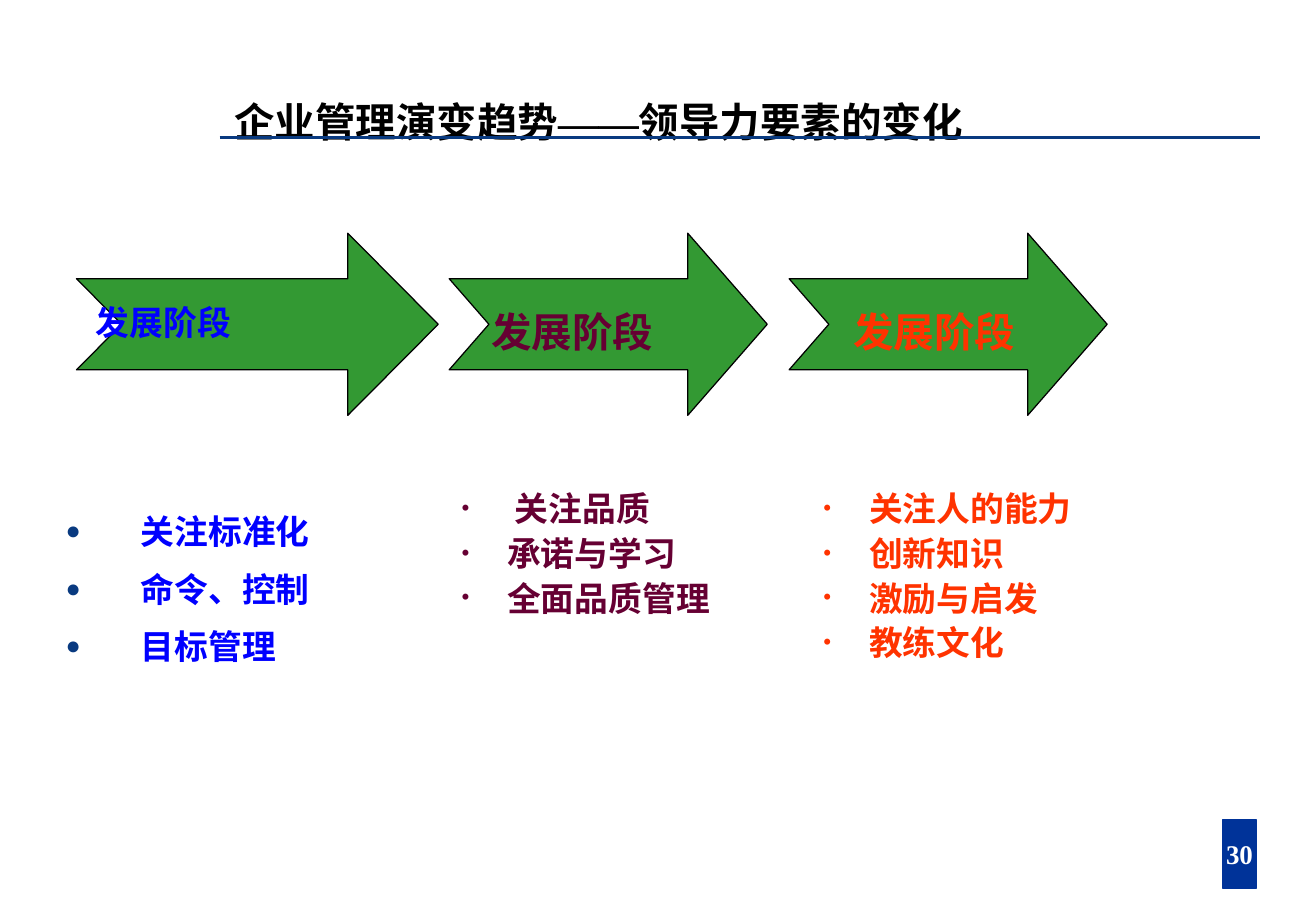
from lxml import etree
from pptx import Presentation
from pptx.dml.color import RGBColor
from pptx.enum.shapes import MSO_CONNECTOR, MSO_SHAPE
from pptx.enum.text import MSO_ANCHOR, MSO_AUTO_SIZE, PP_ALIGN
from pptx.oxml.ns import qn
from pptx.util import Inches, Pt

STRAIGHT = MSO_CONNECTOR.STRAIGHT
ARROW, RECTANGLE = MSO_SHAPE.NOTCHED_RIGHT_ARROW, MSO_SHAPE.RECTANGLE
BOTTOM, MIDDLE, TOP = MSO_ANCHOR.BOTTOM, MSO_ANCHOR.MIDDLE, MSO_ANCHOR.TOP
LEFT, CENTER = PP_ALIGN.LEFT, PP_ALIGN.CENTER
NO_FIT = MSO_AUTO_SIZE.NONE


class Theme:
    cjk, latin = "Noto Sans CJK SC", "Times New Roman"
    black, white = "000000", "FFFFFF"
    rule, badge, arrow = "093A80", "003399", "339933"
    blue, plum, orange = "0000FF", "660033", "FF3300"
    title_size, body_size, number_size = 24, 20, 16


# Content
TITLE = [("企业管理演变趋势", Theme.cjk), ("——", Theme.latin), ("领导力要素的变化", Theme.cjk)]
PAGE_NUMBER = "30"
LABEL = "发展阶段"
WIDE_LIST = {"margins": (0, 0), "hang": 0.62, "bullet": "●", "bullet_color": Theme.rule,
             "label_size": 20, "label_line": 23, "drop": 101, "gap": 11}
SLIM_LIST = {"margins": (0.1, 0.05), "hang": 0.38, "bullet": "•", "bullet_color": None,
             "label_size": 24, "label_line": 27.5, "drop": 79, "gap": 3.6}
STAGES = [
    {"arrow": (0.63, 2.98), "box": (0.54, 2.62), "color": Theme.blue, "style": WIDE_LIST,
     "points": ["关注标准化", "命令、控制", "目标管理"]},
    {"arrow": (3.7, 2.62), "box": (3.7, 2.71), "color": Theme.plum, "style": SLIM_LIST,
     "points": [" 关注品质", "承诺与学习", "全面品质管理"]},
    {"arrow": (6.5, 2.62), "box": (6.68, 2.98), "color": Theme.orange, "style": SLIM_LIST,
     "points": ["关注人的能力", "创新知识", "激励与启发", "教练文化"]},
]

# Grid, in inches
SLIDE_WIDTH, SLIDE_HEIGHT = 10.84, 7.5
ARROW_TOP, ARROW_HEIGHT = 1.92, 1.5
TEXT_TOP, TEXT_HEIGHT = SLIDE_HEIGHT / 3, SLIDE_HEIGHT / 2
LABEL_INDENT = 0.25
LINE_POINTS = 23


def apply(target, **values):
    for name, value in values.items():
        setattr(target, name, value)


def place(left, top, width, height):
    return [Inches(length) for length in (left, top, width, height)]


def set_frame(frame, anchor, wrap, margins=(0, 0)):
    side, edge = (Inches(margin) for margin in margins)
    apply(frame, margin_left=side, margin_right=side, margin_top=edge, margin_bottom=edge,
          word_wrap=wrap, auto_size=NO_FIT, vertical_anchor=anchor)


def add_span(para, text, size, color, face):
    span = para.add_run()
    span.text = text
    apply(span.font, size=Pt(size), bold=True, name=face)
    span.font.color.rgb = RGBColor.from_string(color)
    etree.SubElement(span.font._element, qn("a:ea")).set("typeface", face)


def add_block(page, kind, spot, fill, line, weight):
    block = page.shapes.add_shape(kind, *place(*spot))
    block.shadow.inherit = False
    block.fill.solid()
    block.fill.fore_color.rgb = RGBColor.from_string(fill)
    block.line.color.rgb = RGBColor.from_string(line)
    block.line.width = Pt(weight)
    return block


def set_indent(para, left, hang=0):
    props = para._p.get_or_add_pPr()
    props.set("marL", str(Inches(left)))
    props.set("indent", str(-Inches(hang)))
    return props


def add_bullet(para, sign, color, hang):
    props = set_indent(para, hang, hang)
    tint = etree.SubElement(props, qn("a:buClr"))
    etree.SubElement(tint, qn("a:srgbClr")).set("val", color)
    for tag, key, value in (("buSzPct", "val", "75000"),
                            ("buFont", "typeface", Theme.latin),
                            ("buChar", "char", sign)):
        etree.SubElement(props, qn("a:" + tag)).set(key, value)


def add_rule(page):
    rule = page.shapes.add_connector(STRAIGHT, Inches(1.81), Inches(1.13),
                                     Inches(10.38), Inches(1.13))
    rule.line.color.rgb = RGBColor.from_string(Theme.rule)
    rule.line.width = Pt(2)
    etree.SubElement(rule._element.spPr, qn("a:effectLst"))


def add_title(page):
    title = page.shapes.title
    left, top, width, height = place(1.93, 0.37, 8.65, 0.83)
    apply(title, left=left, top=top, width=width, height=height)
    set_frame(title.text_frame, BOTTOM, True)
    para = title.text_frame.paragraphs[0]
    apply(para, alignment=LEFT, line_spacing=0.8)
    for text, face in TITLE:
        add_span(para, text, Theme.title_size, Theme.black, face)


def add_page_number(page):
    badge = add_block(page, RECTANGLE, (10.07, 6.75, 0.28, 0.56), Theme.badge, Theme.badge, 1)
    set_frame(badge.text_frame, MIDDLE, False)
    para = badge.text_frame.paragraphs[0]
    para.alignment = CENTER
    add_span(para, PAGE_NUMBER, Theme.number_size, Theme.white, Theme.latin)


def add_arrow(page, left, width):
    arrow = add_block(page, ARROW, (left, ARROW_TOP, width, ARROW_HEIGHT),
                      Theme.arrow, Theme.black, 0.75)
    arrow.adjustments[0] = 0.5
    arrow.adjustments[1] = width / 4 / ARROW_HEIGHT  # head takes a quarter of the length


def add_stage_text(page, stage):
    style, color = stage["style"], stage["color"]
    left, width = stage["box"]
    frame = page.shapes.add_textbox(*place(left, TEXT_TOP, width, TEXT_HEIGHT)).text_frame
    set_frame(frame, TOP, True, style["margins"])
    label = frame.paragraphs[0]
    set_indent(label, LABEL_INDENT)
    label.line_spacing = Pt(style["label_line"])
    add_span(label, LABEL, style["label_size"], color, Theme.cjk)
    for index, point in enumerate(stage["points"]):
        para = frame.add_paragraph()
        add_bullet(para, style["bullet"], style["bullet_color"] or color, style["hang"])
        apply(para, line_spacing=Pt(LINE_POINTS),
              space_before=Pt(style["gap"] if index else style["drop"]))
        add_span(para, point, Theme.body_size, color, Theme.cjk)


def main():
    deck = Presentation()
    apply(deck, slide_width=Inches(SLIDE_WIDTH), slide_height=Inches(SLIDE_HEIGHT))
    page = deck.slides.add_slide(deck.slide_layouts[5])

    # Heading and page number
    add_rule(page)
    add_title(page)
    add_page_number(page)

    # Stages: arrows first, so that the text lies above them
    for stage in STAGES:
        add_arrow(page, *stage["arrow"])
    for stage in STAGES:
        add_stage_text(page, stage)

    deck.save("out.pptx")


if __name__ == "__main__":
    main()
